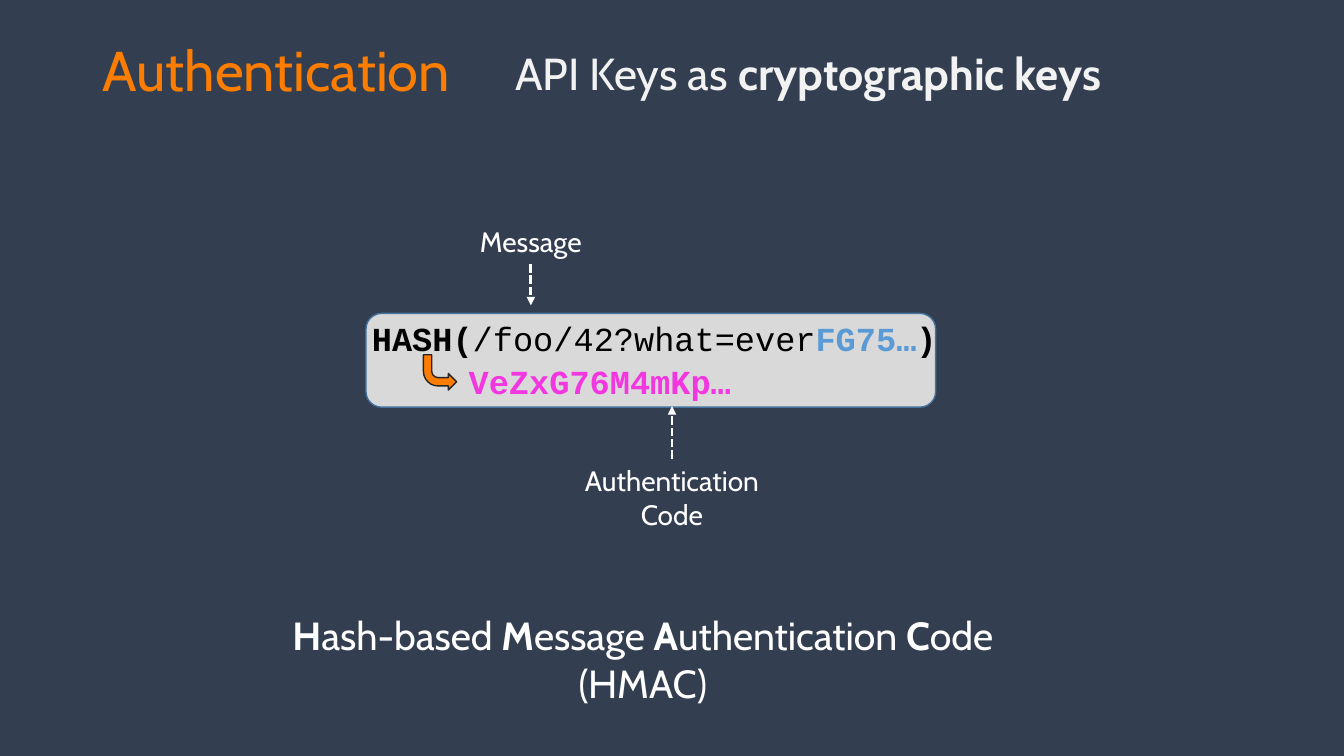
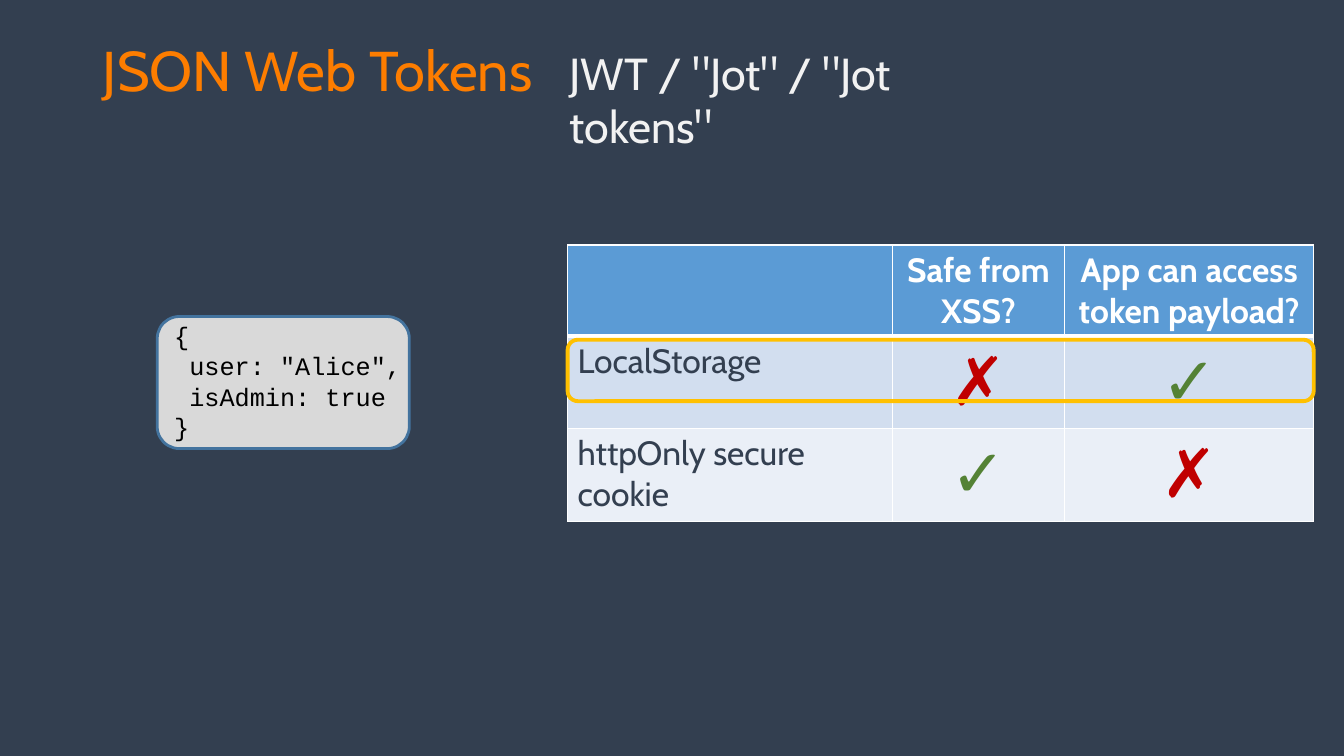
import pptx
import pptx.dml.color
import pptx.enum.dml
import pptx.enum.shapes
import pptx.enum.text
import pptx.util
import lxml.etree
from pptx.oxml.ns import qn

EMU_PER_PX = 9144  # 100 px to the inch
COLORS = {
    "background": "333F50", "orange": "FD7D00", "subtitle": "F2F2F2",
    "white": "FFFFFF", "black": "000000", "panel": "D9D9D9",
    "panel_line": "43739E", "key": "5B9BD5", "code": "F237E0",
    "arrow_line": "262626", "highlight": "FFC000", "header": "5B9BD5",
    "odd_row": "D2DEEF", "even_row": "EAEFF7", "yes": "548235", "no": "C00000",
}
BODY, MONO, SYMBOL = "Cabin", "Courier New", "Calibri"
SHAPES = pptx.enum.shapes.MSO_SHAPE
ALIGN = pptx.enum.text.PP_ALIGN
ANCHOR = pptx.enum.text.MSO_ANCHOR


def px(*lengths):
    return [pptx.util.Emu(length * EMU_PER_PX) for length in lengths]


def rgb(name):
    return pptx.dml.color.RGBColor.from_string(COLORS[name])


class SlideBuilder:
    def __init__(self):
        self.deck = pptx.Presentation()
        self.deck.slide_width = pptx.util.Inches(13.33)
        self.deck.slide_height = pptx.util.Inches(7.5)
        fill = self.deck.slide_master.background.fill
        fill.solid()
        fill.fore_color.rgb = rgb("background")
        self.page = None

    def set_lines(self, frame, lines, size, color, font=BODY, bold=False, align=ALIGN.LEFT):
        """Each line is a string or a list of (text, bold, color) spans."""
        for index, line in enumerate(lines):
            para = frame.paragraphs[0] if index == 0 else frame.add_paragraph()
            para.alignment = align
            spans = [(line, bold, color)] if isinstance(line, str) else line
            for text, span_bold, span_color in spans:
                span = para.add_run()
                span.text = text
                span.font.name = font
                span.font.size = pptx.util.Pt(size)
                span.font.bold = span_bold
                span.font.color.rgb = rgb(span_color)

    def start(self, title, subtitle, subtitle_left, subtitle_width):
        """Add a slide with its title and the subtitle beside it."""
        self.page = self.deck.slides.add_slide(self.deck.slide_layouts[5])
        holder = self.page.shapes.title
        holder.left, holder.top, holder.width, holder.height = px(92, 30, 460, 77)
        frame = holder.text_frame
        frame.word_wrap = True
        frame.auto_size = pptx.enum.text.MSO_AUTO_SIZE.NONE
        frame.vertical_anchor = ANCHOR.TOP
        self.set_lines(frame, [title], 40, "orange")
        self.text(subtitle_left, 40, subtitle_width, 64, [subtitle], 32, "subtitle")

    def text(self, left, top, width, height, lines, size, color, **style):
        box = self.page.shapes.add_textbox(*px(left, top, width, height))
        box.text_frame.word_wrap = True
        self.set_lines(box.text_frame, lines, size, color, **style)
        return box

    def shape(self, kind, left, top, width, height, fill, line, weight):
        shape = self.page.shapes.add_shape(kind, *px(left, top, width, height))
        shape.shadow.inherit = False
        if fill:
            shape.fill.solid()
            shape.fill.fore_color.rgb = rgb(fill)
        else:
            shape.fill.background()
        shape.line.color.rgb = rgb(line)
        shape.line.width = pptx.util.Pt(weight)
        return shape

    def arrow(self, box, side, x, start, end):
        """Dashed vertical arrow that leaves the given side of a label."""
        link = self.page.shapes.add_connector(
            pptx.enum.shapes.MSO_CONNECTOR.STRAIGHT, *px(x, start, x, end))
        link.begin_connect(box, side)
        link.end_x = link.begin_x
        link.line.color.rgb = rgb("white")
        link.line.width = pptx.util.Pt(2)
        link.line.dash_style = pptx.enum.dml.MSO_LINE.SQUARE_DOT
        properties = link._element.spPr
        lxml.etree.SubElement(properties.find(qn("a:ln")), qn("a:tailEnd"), type="triangle")
        lxml.etree.SubElement(properties, qn("a:effectLst"))

    def table(self, left, top, columns, rows, cells):
        """Each cell is (lines, text style) or None."""
        table = self.page.shapes.add_table(
            len(rows), len(columns), *px(left, top, sum(columns), sum(rows))).table
        for column, width in zip(table.columns, px(*columns)):
            column.width = width
        for row, height in zip(table.rows, px(*rows)):
            row.height = height
        for r, fill in enumerate(("header", "odd_row", "even_row")):
            for c, content in enumerate(cells[r]):
                cell = table.cell(r, c)
                self.borders(cell, {"L": 1, "R": 1, "T": 3 if r == 1 else 1,
                                    "B": 3 if r == 0 else 1})
                cell.fill.solid()
                cell.fill.fore_color.rgb = rgb(fill)
                if c:
                    cell.vertical_anchor = ANCHOR.MIDDLE
                if content:
                    lines, style = content
                    self.set_lines(cell.text_frame, lines,
                                   align=ALIGN.CENTER if c else ALIGN.LEFT, **style)

    def borders(self, cell, weights):
        properties = cell._tc.get_or_add_tcPr()
        for side, weight in weights.items():
            line = lxml.etree.SubElement(
                properties, qn("a:ln" + side), w=str(pptx.util.Pt(weight)))
            paint = lxml.etree.SubElement(line, qn("a:solidFill"))
            lxml.etree.SubElement(paint, qn("a:srgbClr"), val=COLORS["white"])


def build_hmac(show):
    show.start("Authentication",
               [("API Keys as ", False, "subtitle"),
                ("cryptographic keys", True, "subtitle")], 501, 640)

    # Hash call and its result
    show.shape(SHAPES.ROUNDED_RECTANGLE, 363, 311, 565, 93, "panel", "panel_line", 1)
    show.text(359, 310, 619, 50,
              [[("HASH(", True, "black"), ("/foo/42?what=ever", False, "black"),
                ("FG75…", True, "key"), (")", True, "black")]],
              24, "black", font=MONO)
    show.text(455, 353, 366, 50, ["VeZxG76M4mKp…"], 24, "code", font=MONO, bold=True)
    bend = show.shape(SHAPES.BENT_ARROW, 420, 352, 33, 35, "orange", "arrow_line", 1)
    bend._element.spPr.xfrm.set("flipV", "1")

    # Labels with arrows
    message = show.text(428, 218, 197, 44, ["Message"], 20, "white", align=ALIGN.CENTER)
    show.arrow(message, 2, 527, 262, 303)
    code = show.text(568, 455, 197, 77, ["Authentication Code"], 20, "white",
                     align=ALIGN.CENTER)
    show.arrow(code, 0, 667, 455, 403)

    # Acronym with bold initials
    words = ("Hash-based ", "Message ", "Authentication ", "Code")
    acronym = [(part, bold, "white") for word in words
               for part, bold in ((word[0], True), (word[1:], False))]
    show.text(233, 602, 809, 104, [acronym, "(HMAC)"], 28, "white", align=ALIGN.CENTER)


def build_tokens(show):
    show.start("JSON Web Tokens", 'JWT / "Jot" / "Jot tokens"', 555, 467)

    # Storage comparison
    header = {"size": 24, "color": "white", "bold": True}
    label = {"size": 24, "color": "background"}
    yes = (["✓"], {"size": 48, "color": "yes", "font": SYMBOL})
    no = (["✗"], {"size": 48, "color": "no", "font": SYMBOL})
    show.table(563, 243, (322, 171, 247), (90, 92, 92), [
        [None, (["Safe from", "XSS?"], header),
         (["App can access token payload?"], header)],
        [(["LocalStorage"], label), no, yes],
        [(["httpOnly secure cookie"], label), yes, no],
    ])
    show.shape(SHAPES.ROUNDED_RECTANGLE, 563, 337, 740, 61, None, "highlight", 2.75)

    # Token payload
    show.shape(SHAPES.ROUNDED_RECTANGLE, 156, 314, 250, 131, "panel", "panel_line", 2)
    show.text(163, 313, 266, 131, ["{", ' user: "Alice",', " isAdmin: true", "}"],
              18, "black", font=MONO)


def main():
    show = SlideBuilder()
    build_hmac(show)
    build_tokens(show)
    show.deck.save("out.pptx")


if __name__ == "__main__":
    main()
